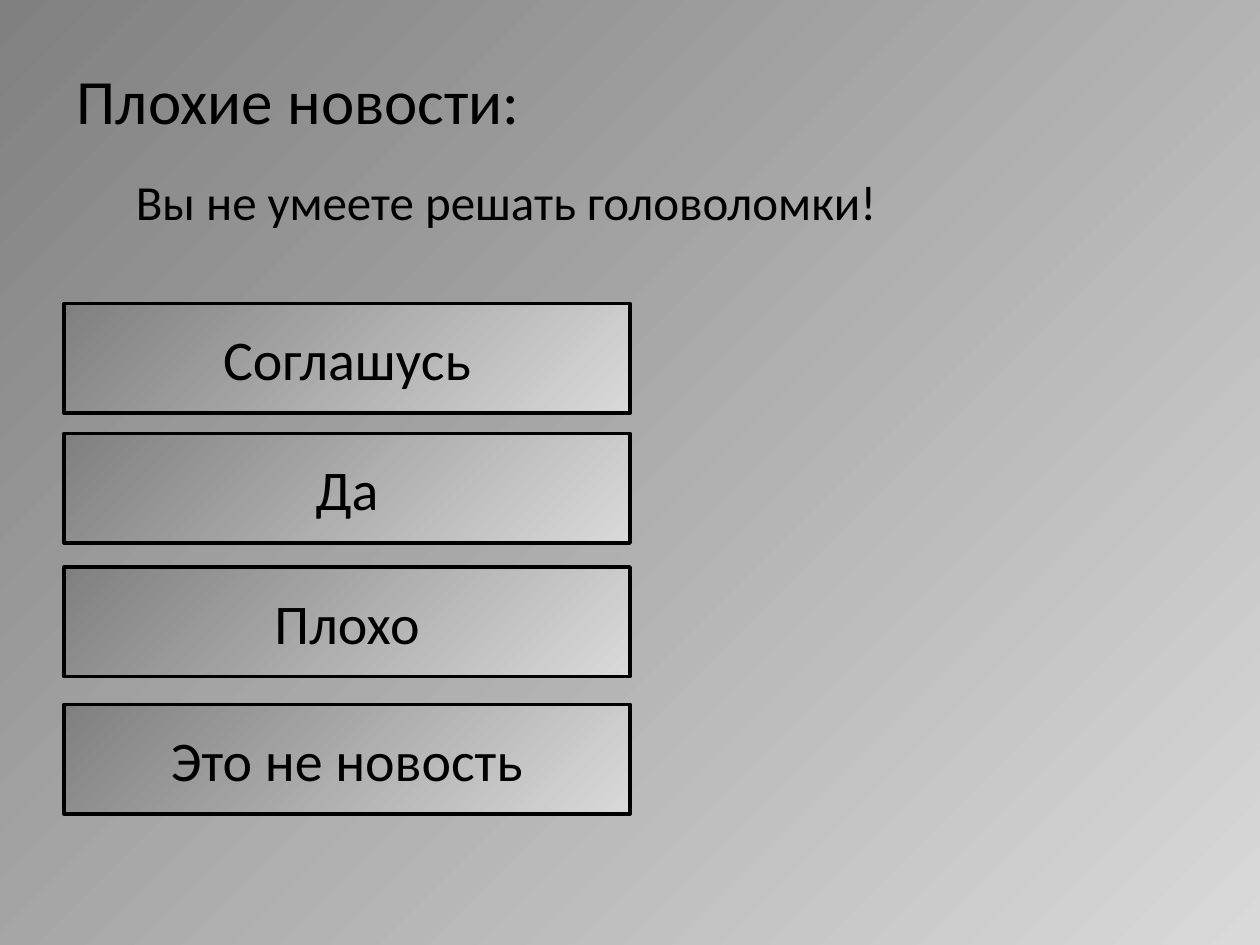
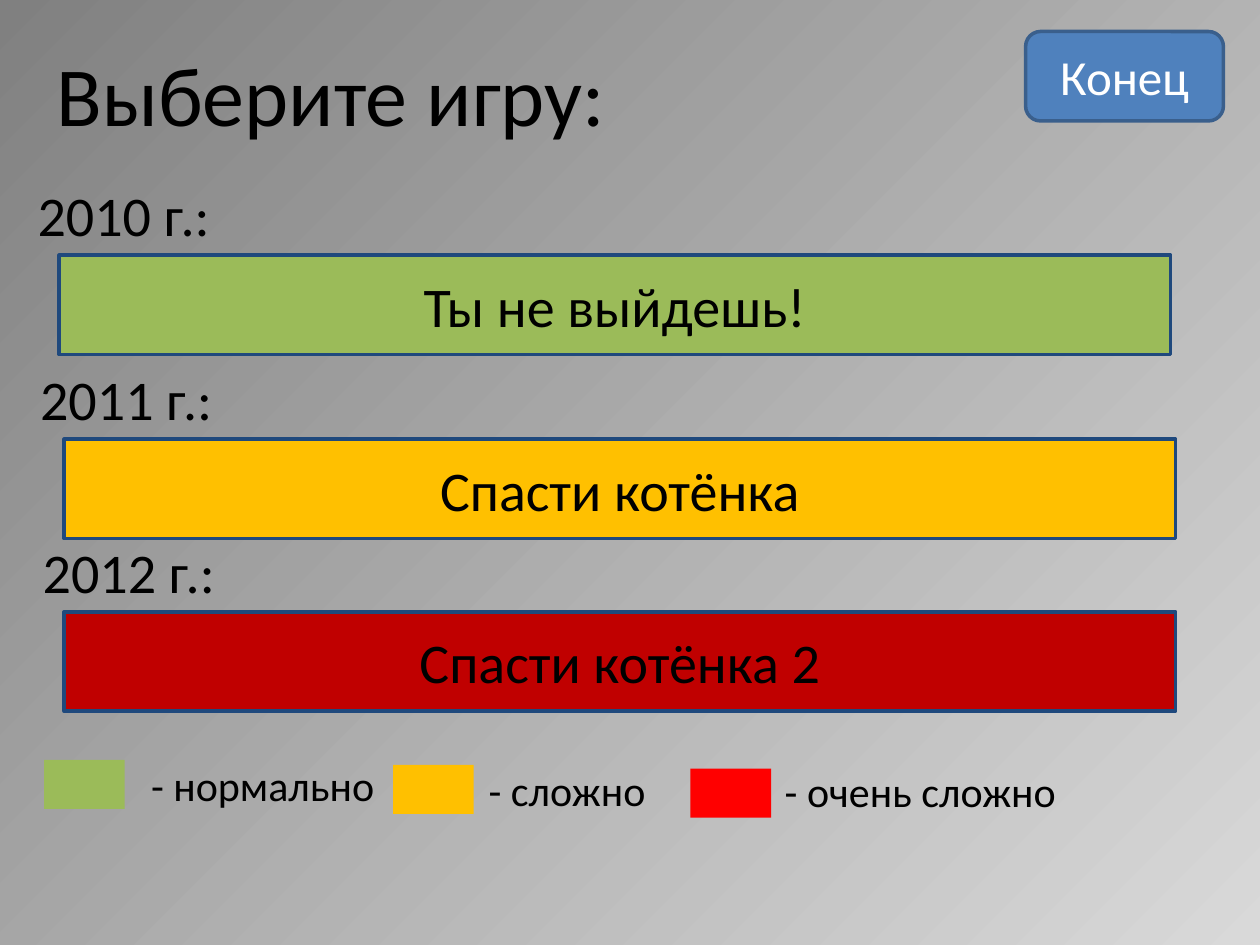
from collections import namedtuple

from pptx import Presentation
from pptx.dml.color import RGBColor
from pptx.enum.shapes import MSO_SHAPE as Kind
from pptx.enum.text import MSO_ANCHOR as Anchor, MSO_AUTO_SIZE as Fit, PP_ALIGN as Align
from pptx.util import Inches, Pt

Box = namedtuple("Box", "x y w h")

COLS, ROWS = 100, 75
WIDE, HIGH = Inches(10), Inches(7.5)
TITLE_ONLY = 5

BLACK = RGBColor(0, 0, 0)
WHITE = RGBColor(255, 255, 255)
PALE = RGBColor(0xD9, 0xD9, 0xD9)
GRAY = RGBColor(0x80, 0x80, 0x80)
GREEN = RGBColor(0x9B, 0xBB, 0x59)
AMBER = RGBColor(0xFF, 0xC0, 0x00)
CRIMSON = RGBColor(0xC0, 0x00, 0x00)
RED = RGBColor(0xFF, 0x00, 0x00)
NAVY = RGBColor(0x1F, 0x49, 0x7D)
BLUE = RGBColor(0x4F, 0x81, 0xBD)
STEEL = RGBColor(0x3A, 0x5F, 0x8C)


def place(box):
    """Turn a box in grid columns and rows into slide lengths."""
    return [int(box.x * WIDE / COLS), int(box.y * HIGH / ROWS),
            int(box.w * WIDE / COLS), int(box.h * HIGH / ROWS)]


def inside(box, x, y, w, h):
    return Box(box.x + x, box.y + y, w, h)


def shade(fill):
    """Run gray at the top left into pale at the bottom right."""
    fill.gradient()
    fill.gradient_angle = 135
    for stop, tint in zip(fill.gradient_stops, (PALE, GRAY)):
        stop.color.rgb = tint


def write(shape, text, size, color=BLACK, align=Align.LEFT, **frame):
    for name, value in frame.items():
        setattr(shape.text_frame, name, value)
    para = shape.text_frame.paragraphs[0]
    para.alignment = align
    run = para.add_run()
    run.text = text
    look = {"name": "Calibri", "size": Pt(size)}
    for name, value in look.items():
        setattr(run.font, name, value)
    run.font.color.rgb = color


def head(slide, box, text, size):
    title = slide.shapes.title
    for name, value in zip(("left", "top", "width", "height"), place(box)):
        setattr(title, name, value)
    write(title, text, size, word_wrap=False, auto_size=Fit.NONE,
          vertical_anchor=Anchor.TOP)


def label(slide, box, text, size):
    note = slide.shapes.add_textbox(*place(box))
    write(note, text, size, word_wrap=False, auto_size=Fit.SHAPE_TO_FIT_TEXT)


def block(slide, box, fill=None, line=None, kind=Kind.RECTANGLE):
    """Draw a shape, shaded when no fill is given."""
    shape = slide.shapes.add_shape(kind, *place(box))
    shape.shadow.inherit = False
    if fill is None:
        shade(shape.fill)
    else:
        shape.fill.solid()
        shape.fill.fore_color.rgb = fill
    if line is None:
        shape.line.fill.background()
    else:
        shape.line.color.rgb = line
        shape.line.width = Pt(2)
    return shape


def button(slide, box, text, size=32, color=BLACK, **look):
    write(block(slide, box, **look), text, size, color, Align.CENTER,
          vertical_anchor=Anchor.MIDDLE)


def answers(slide, box, items):
    for text, y in items:
        button(slide, inside(box, 0, y, box.w, 8.7), text, line=BLACK)


def game(slide, box, year, name, fill, shift):
    """Set a year above the bar of its game."""
    label(slide, inside(box, 0, 0, 15.9, 6.4), year, 32)
    button(slide, inside(box, shift, 6.4, box.w - shift, 7.9), name,
           fill=fill, line=NAVY)


def legend(slide, box, items):
    for x, y, fill, gap, drop, wide, text in items:
        block(slide, inside(box, x, y, 6.4, 3.9), fill)
        label(slide, inside(box, x + gap, y - drop, wide, 5), text, 24)


def news(slide):
    head(slide, Box(5.1, 4.4, 37.5, 7.1), "Плохие новости:", 36)
    label(slide, Box(9.8, 13.1, 61.4, 5.7), "Вы не умеете решать головоломки!", 28)
    answers(slide, Box(5.1, 24.1, 44.9, 40.5), [
        ("Соглашусь", 0), ("Да", 10.3), ("Плохо", 20.9), ("Это не новость", 31.8)])


def menu(slide):
    head(slide, Box(3.5, 2.9, 46.1, 9.1), "Выберите игру:", 48)
    games = [
        (2, 13.85, 2.7, "2010 г.:", "Ты не выйдешь!", GREEN),
        (2.2, 28.45, 2.9, "2011 г.:", "Спасти котёнка", AMBER),
        (2.4, 42.15, 2.7, "2012 г.:", "Спасти котёнка 2", CRIMSON),
    ]
    for x, y, shift, year, name, fill in games:
        game(slide, Box(x, y, 88.2 + shift, 14.3), year, name, fill, shift)
    legend(slide, Box(3.5, 60.3, 81.5, 5), [
        (0, 0, GREEN, 7.5, 0.5, 19.9, "- нормально"),
        (27.7, 0.4, AMBER, 6.6, 0.5, 14.6, "- сложно"),
        (51.3, 0.7, RED, 6.5, 0.7, 23.7, "- очень сложно")])
    button(slide, Box(81.4, 2.5, 15.7, 7.1), "Конец", 28, WHITE,
           fill=BLUE, line=STEEL, kind=Kind.ROUNDED_RECTANGLE)


def main():
    deck = Presentation()
    deck.slide_width, deck.slide_height = WIDE, HIGH
    shade(deck.slide_master.background.fill)
    for fill_in in (news, menu):
        fill_in(deck.slides.add_slide(deck.slide_layouts[TITLE_ONLY]))
    deck.save("out.pptx")


if __name__ == "__main__":
    main()
